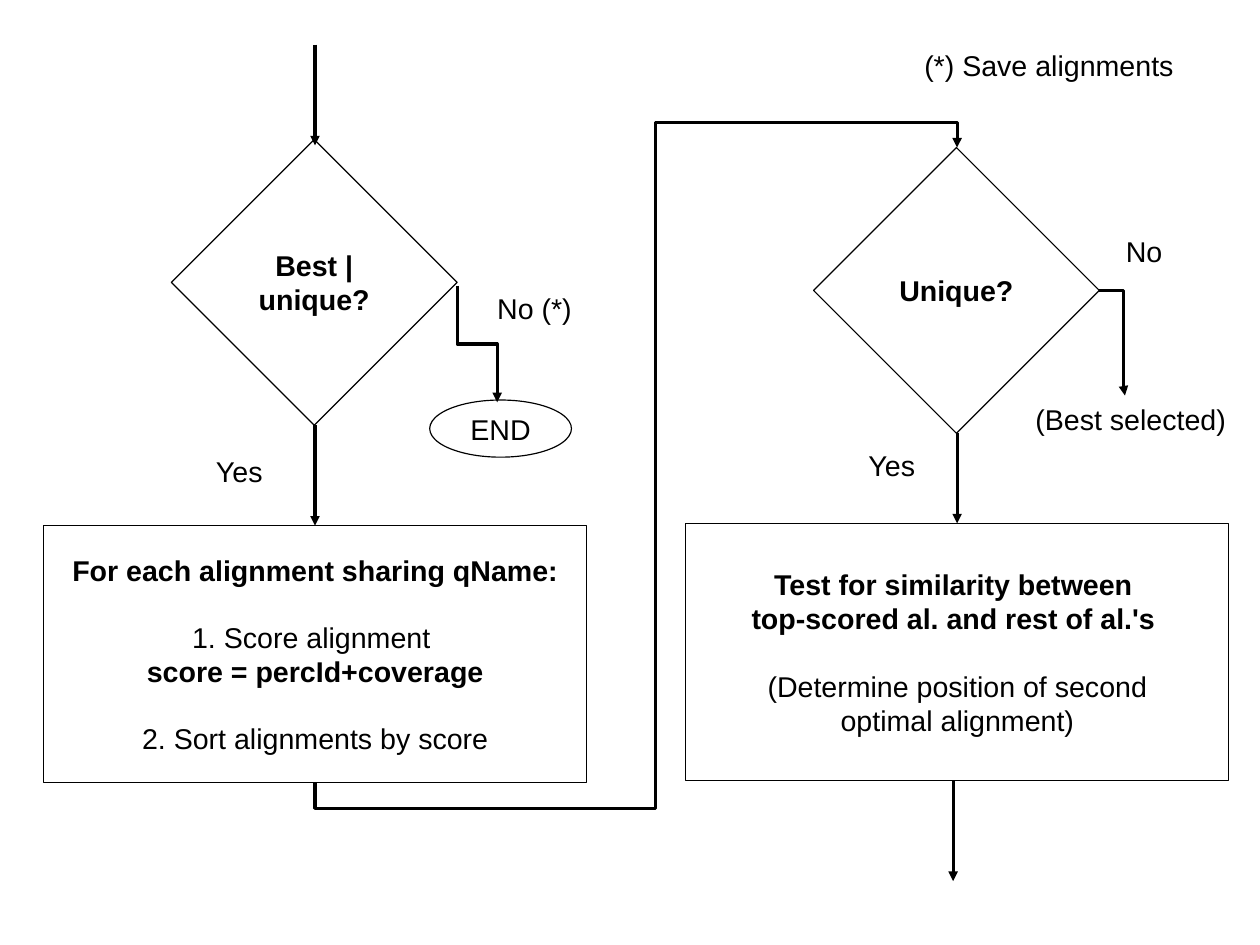
from lxml import etree
from pptx import Presentation
from pptx import util as u
from pptx.dml.color import RGBColor
from pptx.enum import shapes, text
from pptx.oxml.ns import qn

BLACK = RGBColor(0, 0, 0)
WHITE = RGBColor(255, 255, 255)
KINDS = shapes.MSO_SHAPE


class FlowPage:
    font = "Arial"
    size = u.Pt(18)
    gap = u.Pt(20.7)

    def __init__(self, deck):
        self.page = deck.slides.add_slide(deck.slide_layouts[6])
        fill = self.page.background.fill
        fill.solid()
        fill.fore_color.rgb = WHITE

    def add_lines(self, frame, lines, align):
        for number, (words, bold, spaced) in enumerate(lines):
            para = frame.add_paragraph() if number else frame.paragraphs[0]
            para.alignment = align
            if spaced:
                para.space_before = self.gap
            span = para.add_run()
            span.text = words
            span.font.name = self.font
            span.font.size = self.size
            span.font.bold = bold
            span.font.color.rgb = BLACK

    def node(self, kind, left, top, width, height, lines, wrap=True):
        box = self.page.shapes.add_shape(
            kind, u.Cm(left), u.Cm(top), u.Cm(width), u.Cm(height))
        box.shadow.inherit = False
        box.fill.background()
        self.outline(box.line)
        frame = box.text_frame
        frame.word_wrap = wrap
        frame.vertical_anchor = text.MSO_ANCHOR.MIDDLE
        self.add_lines(frame, lines, text.PP_ALIGN.CENTER)

    def label(self, words, left, top, width):
        box = self.page.shapes.add_textbox(
            u.Cm(left), u.Cm(top), u.Cm(width), u.Cm(0.97))
        box.text_frame.word_wrap = True
        self.add_lines(box.text_frame, [(words, False, False)], text.PP_ALIGN.LEFT)

    def outline(self, line):
        line.color.rgb = BLACK
        line.width = u.Pt(0)

    def arrow(self, start, end, kind=shapes.MSO_CONNECTOR.STRAIGHT):
        link = self.page.shapes.add_connector(
            kind, *(u.Cm(length) for length in (*start, *end)))
        self.outline(link.line)
        properties = link._element.spPr
        etree.SubElement(properties.find(qn("a:ln")), qn("a:tailEnd"), type="triangle")
        etree.SubElement(properties, qn("a:effectLst"))
        return link

    def elbow(self, start, end, bends, turn=0):
        middle = [(a + b) / 2 for a, b in zip(start, end)]

        def unturn(point):
            x, y = (a - m for a, m in zip(point, middle))
            x, y = {0: (x, y), 90: (y, -x), 270: (-y, x)}[turn]
            return middle[0] + x, middle[1] + y

        link = self.arrow(unturn(start), unturn(end), shapes.MSO_CONNECTOR.ELBOW)
        properties = link._element.spPr
        properties.find(qn("a:xfrm")).set("rot", str(turn * 60000))
        geometry = properties.find(qn("a:prstGeom"))
        geometry.set("prst", f"bentConnector{len(bends) + 2}")
        guides = geometry.find(qn("a:avLst"))
        for number, share in enumerate(bends, 1):
            etree.SubElement(guides, qn("a:gd"), name=f"adj{number}",
                             fmla=f"val {round(share * 100000)}")


deck = Presentation()
deck.slide_width, deck.slide_height = u.Cm(28), u.Cm(21)
flow = FlowPage(deck)

STEP = (12.07, 5.72)
CHOICE = (6.35, 6.35)
flow.node(KINDS.RECTANGLE, 0.97, 11.68, *STEP, [
    ("For each alignment sharing qName:", True, False),
    ("1. Score alignment ", False, True),
    ("score = percId+coverage", True, False),
    ("2. Sort alignments by score", False, True)])
flow.node(KINDS.RECTANGLE, 15.24, 11.63, *STEP, [
    ("Test for similarity between ", True, False),
    ("top-scored al. and rest of al.'s ", True, False),
    ("(Determine position of second", False, True),
    ("optimal alignment)", False, False)])
flow.node(KINDS.DIAMOND, 3.81, 3.1, *CHOICE, [("Best | unique?", True, False)])
flow.node(KINDS.DIAMOND, 18.08, 3.28, *CHOICE, [("Unique?", True, False)])
flow.node(KINDS.OVAL, 9.55, 8.89, 3.15, 1.27, [("END", False, False)], wrap=False)

for x, top, bottom in [(7, 0.99, 3.23), (7, 9.45, 11.68),
                       (21.27, 9.63, 11.63), (21.18, 17.35, 19.58)]:
    flow.arrow((x, top), (x, bottom))
flow.elbow((10.16, 6.35), (11.05, 8.94), [0.5], turn=270)
flow.elbow((7, 17.4), (21.27, 3.28), [-0.04, 0.53, 1.04], turn=90)
flow.elbow((24.43, 6.45), (25, 8.79), [0.95])

for words, left, top, width in [
        ("Yes", 4.55, 9.96, 1.9), ("No (*) ", 10.8, 6.35, 2.54),
        ("Yes", 19.05, 9.83, 1.9), ("No", 24.77, 5.08, 1.9),
        ("(Best selected)", 22.76, 8.81, 4.8),
        ("(*) Save alignments", 20.29, 0.94, 6.35)]:
    flow.label(words, left, top, width)

deck.save("out.pptx")
